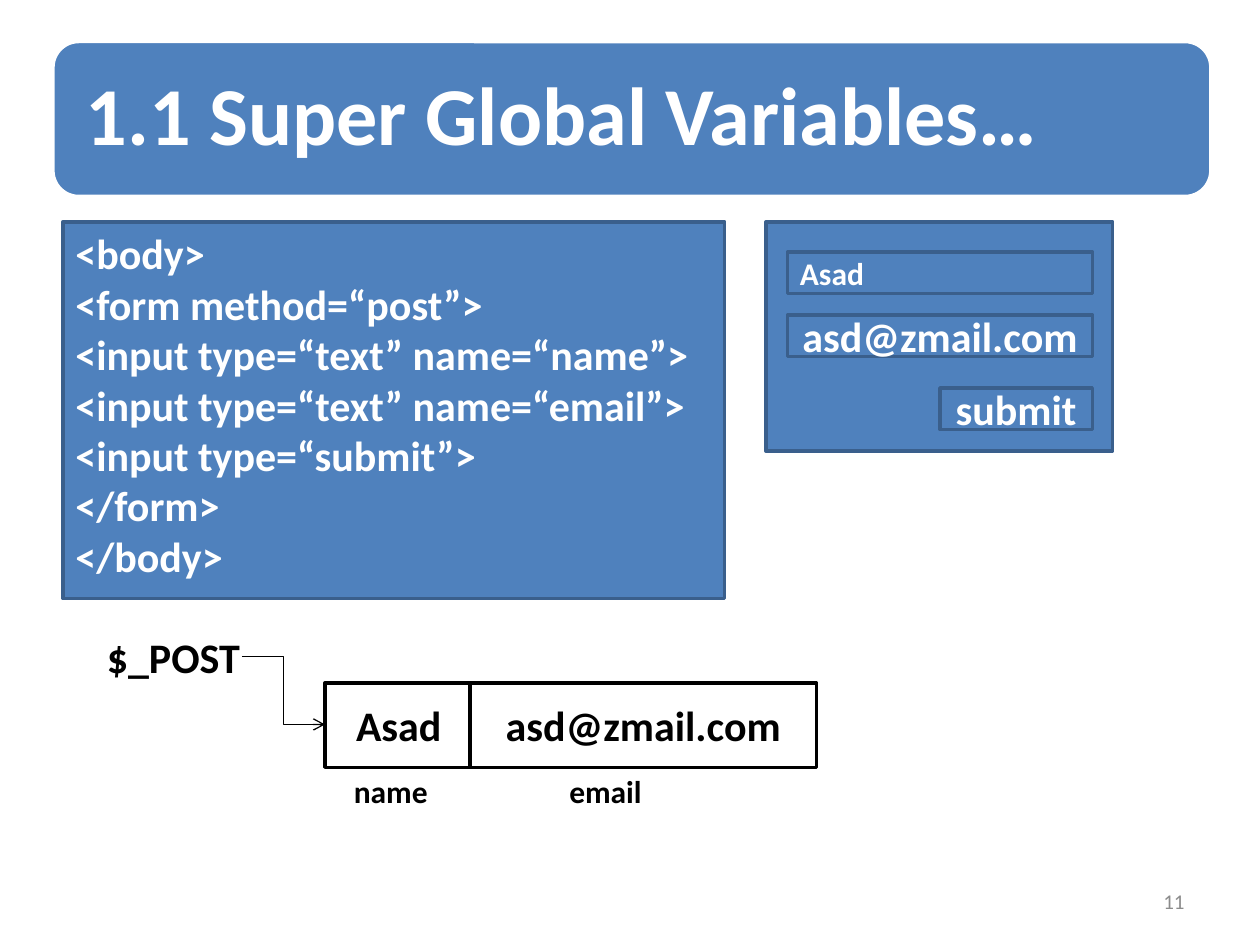
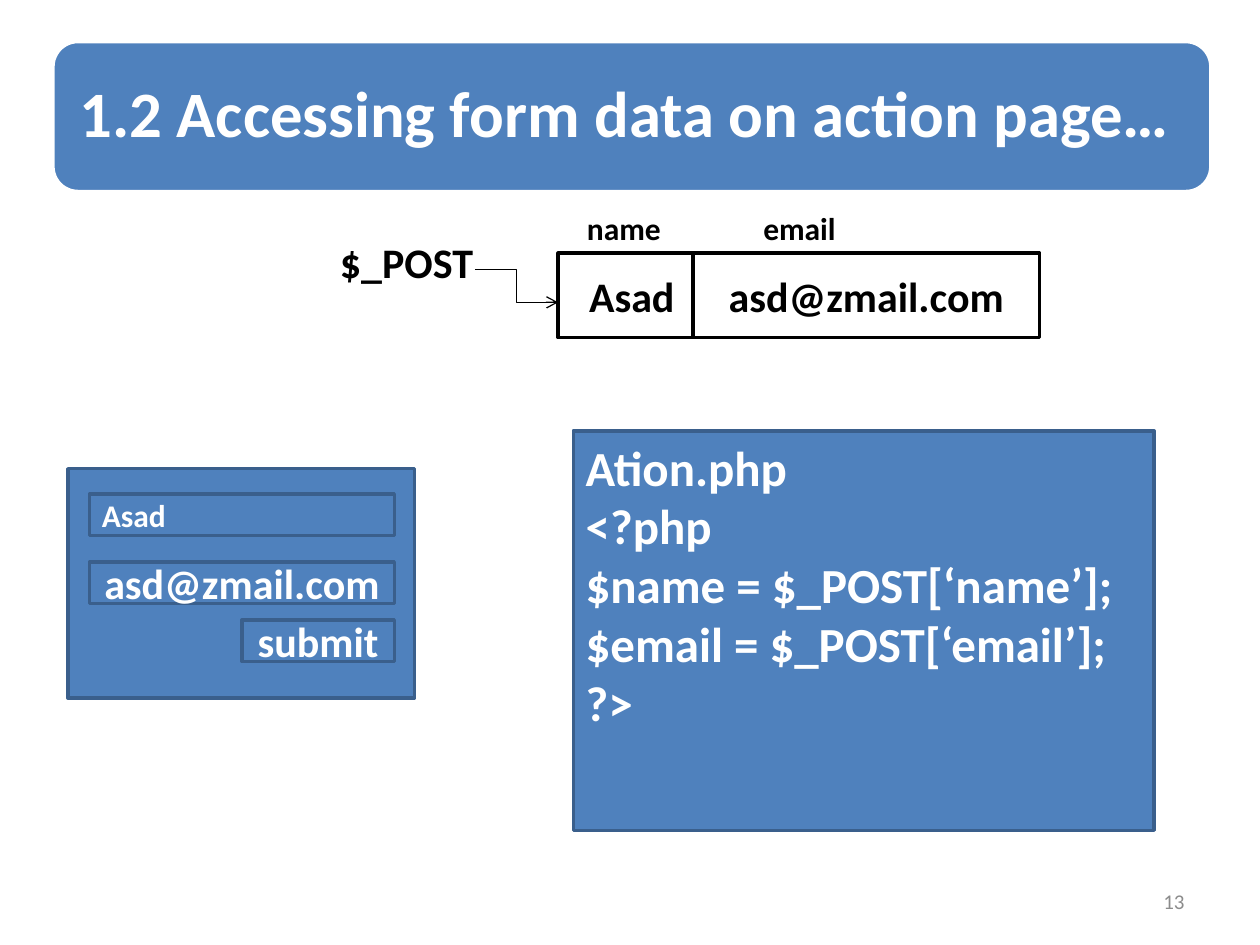
import dataclasses

import pptx
import pptx.dml.color
import pptx.enum.shapes
import pptx.enum.text
import pptx.oxml.ns
import pptx.util
from lxml import etree

Inches = pptx.util.Inches
Pt = pptx.util.Pt
Shape = pptx.enum.shapes.MSO_SHAPE
Align = pptx.enum.text.PP_ALIGN
Anchor = pptx.enum.text.MSO_ANCHOR


@dataclasses.dataclass(frozen=True)
class Theme:
    font: str = "Calibri"
    blue: str = "4F81BD"
    edge: str = "3A5F8C"
    white: str = "FFFFFF"
    black: str = "000000"
    grey: str = "8C8C8C"
    body: int = 24
    label: int = 18
    footer: int = 12
    outline: float = 2
    arrow: float = 0.75


THEME = Theme()
NAME, EMAIL = "Asad", "asd@zmail.com"


def rgb(value):
    return pptx.dml.color.RGBColor.from_string(value)


def write_text(shape, lines, size=THEME.body, color=THEME.white, bold=True,
               align=Align.LEFT, anchor=Anchor.MIDDLE, inset=None, spacing=None):
    """Fill a shape with one paragraph for each line."""
    frame = shape.text_frame
    frame.word_wrap = True
    frame.auto_size = pptx.enum.text.MSO_AUTO_SIZE.NONE
    frame.vertical_anchor = anchor
    if inset is not None:
        frame.margin_left = frame.margin_right = Inches(inset)
        frame.margin_top = frame.margin_bottom = Inches(inset)
    for index, line in enumerate(lines):
        para = frame.paragraphs[0] if index == 0 else frame.add_paragraph()
        para.alignment = align
        if spacing is not None:
            para.line_spacing = spacing
        span = para.add_run()
        span.text = line
        span.font.name = THEME.font
        span.font.size = Pt(size)
        span.font.bold = bold
        span.font.color.rgb = rgb(color)


def add_panel(page, left, top, width, height, fill=THEME.blue, edge=THEME.edge,
              kind=Shape.RECTANGLE):
    panel = page.shapes.add_shape(
        kind, Inches(left), Inches(top), Inches(width), Inches(height))
    panel.shadow.inherit = False
    panel.fill.solid()
    panel.fill.fore_color.rgb = rgb(fill)
    panel.line.color.rgb = rgb(edge)
    panel.line.width = Pt(THEME.outline)
    return panel


def add_label(page, text, left, top, width, height, **text_format):
    box = page.shapes.add_textbox(
        Inches(left), Inches(top), Inches(width), Inches(height))
    write_text(box, [text], **text_format)


def add_elbow_arrow(page, start, end):
    ends = [Inches(value) for value in (*start, *end)]
    arrow = page.shapes.add_connector(
        pptx.enum.shapes.MSO_CONNECTOR.ELBOW, *ends)
    arrow.line.color.rgb = rgb(THEME.black)
    arrow.line.width = Pt(THEME.arrow)
    qn = pptx.oxml.ns.qn
    properties = arrow._element.spPr
    etree.SubElement(properties.find(qn("a:ln")), qn("a:tailEnd"), type="arrow")
    etree.SubElement(properties, qn("a:effectLst"))


def add_page(deck, title, number, band_height, title_size, inset):
    """Title band and page number, shared by all slides."""
    page = deck.slides.add_slide(deck.slide_layouts[5])
    left, top, width, margin = 0.42, 0.33, 9.19, 0.06
    add_panel(page, left, top, width, band_height, edge=THEME.white,
              kind=Shape.ROUNDED_RECTANGLE)
    heading = page.shapes.title
    heading.left, heading.top = Inches(left + margin), Inches(top + margin)
    heading.width = Inches(width - 2 * margin)
    heading.height = Inches(band_height - 2 * margin)
    write_text(heading, [title], size=title_size, inset=inset, spacing=0.9)
    # Bring the title in front of its band
    page.shapes._spTree.append(heading._element)
    add_label(page, str(number), 7.17, 6.95, 2.33, 0.4, size=THEME.footer,
              color=THEME.grey, bold=False, align=Align.RIGHT)
    return page


def add_code(page, lines, left, top, width, height, size=THEME.body):
    panel = add_panel(page, left, top, width, height)
    write_text(panel, lines, size=size, anchor=Anchor.TOP)


def add_form(page, left, top, row_offsets):
    """Form with two fields and a button, right edges aligned."""
    add_panel(page, left, top, 2.75, 1.82)
    right = left + 2.59
    rows = [
        (NAME, 2.42, THEME.label, Align.LEFT),
        (EMAIL, 2.42, THEME.body, Align.CENTER),
        ("submit", 1.21, THEME.body, Align.CENTER),
    ]
    for (text, width, size, align), offset in zip(rows, row_offsets):
        field = add_panel(page, right - width, top + offset, width, 0.33)
        write_text(field, [text], size=size, align=align)


def add_post_array(page, left, top, email_offset, email_label_offset,
                   label_offset, pointer_offset, arrow_shift=0):
    """The $_POST variable pointing to its two named cells."""
    cells = [
        (NAME, "name", 0, 1.17, 0.13, 0.92),
        (EMAIL, "email", email_offset, 2.75, email_label_offset, 1.83),
    ]
    for value, key, offset, width, key_offset, key_width in cells:
        cell = add_panel(page, left + offset, top, width, 0.67,
                         fill=THEME.white, edge=THEME.black)
        write_text(cell, [value], color=THEME.black, align=Align.CENTER)
        add_label(page, key, left + key_offset, top + label_offset, key_width,
                  0.4, size=THEME.label, color=THEME.black, anchor=Anchor.TOP)
    pointer_top = top + pointer_offset
    add_label(page, "$_POST", left - 1.83, pointer_top, 1.5, 0.5,
              color=THEME.black, anchor=Anchor.TOP)
    add_elbow_arrow(page, (left - 0.66, pointer_top + 0.25 + arrow_shift),
                    (left, top + 0.33 + arrow_shift))


def build_variables_page(deck):
    page = add_page(deck, "1.1 Super Global Variables…", 11, band_height=1.23,
                    title_size=47, inset=0.2)
    add_code(page, [
        "<body>",
        "<form method=“post”>",
        "<input type=“text” name=“name”>",
        "<input type=“text” name=“email”>",
        "<input type=“submit”>",
        "</form>",
        "</body>",
    ], 0.5, 1.76, 5.25, 2.99)
    add_form(page, 6.08, 1.76, row_offsets=(0.24, 0.74, 1.32))
    add_post_array(page, 2.58, 5.42, email_offset=1.15, email_label_offset=1.84,
                   label_offset=0.66, pointer_offset=-0.46)


def build_action_page(deck):
    page = add_page(deck, "1.2 Accessing form data on action page…", 13,
                    band_height=1.19, title_size=37, inset=0.15)
    add_form(page, 0.54, 3.72, row_offsets=(0.2, 0.74, 1.2))
    add_post_array(page, 4.43, 2.01, email_offset=1.07, email_label_offset=1.53,
                   label_offset=-0.4, pointer_offset=-0.18, arrow_shift=0.06)
    add_code(page, [
        "Ation.php",
        "<?php",
        "$name = $_POST[‘name’];",
        "$email = $_POST[‘email’];",
        "?>",
    ], 4.55, 3.42, 4.61, 3.17, size=28)


deck = pptx.Presentation()
deck.slide_width, deck.slide_height = Inches(10), Inches(7.5)
build_variables_page(deck)
build_action_page(deck)
deck.save("out.pptx")
